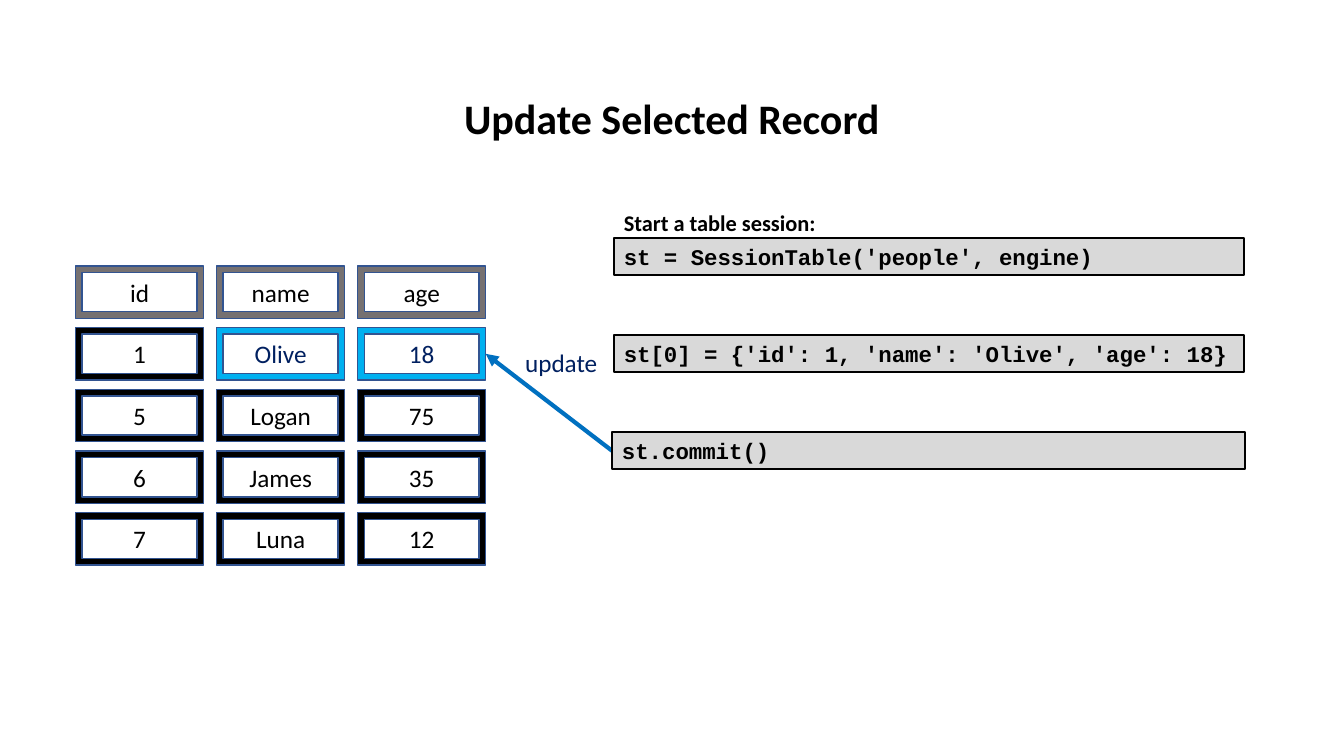
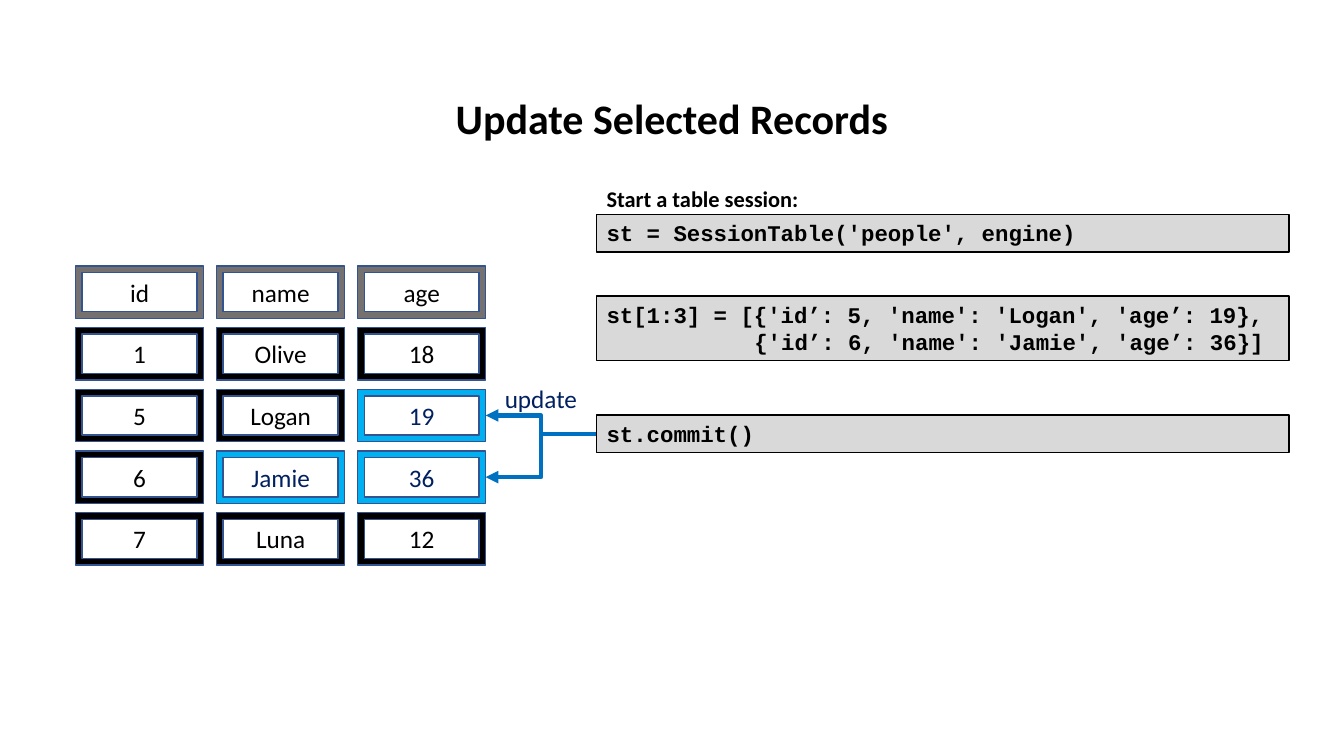
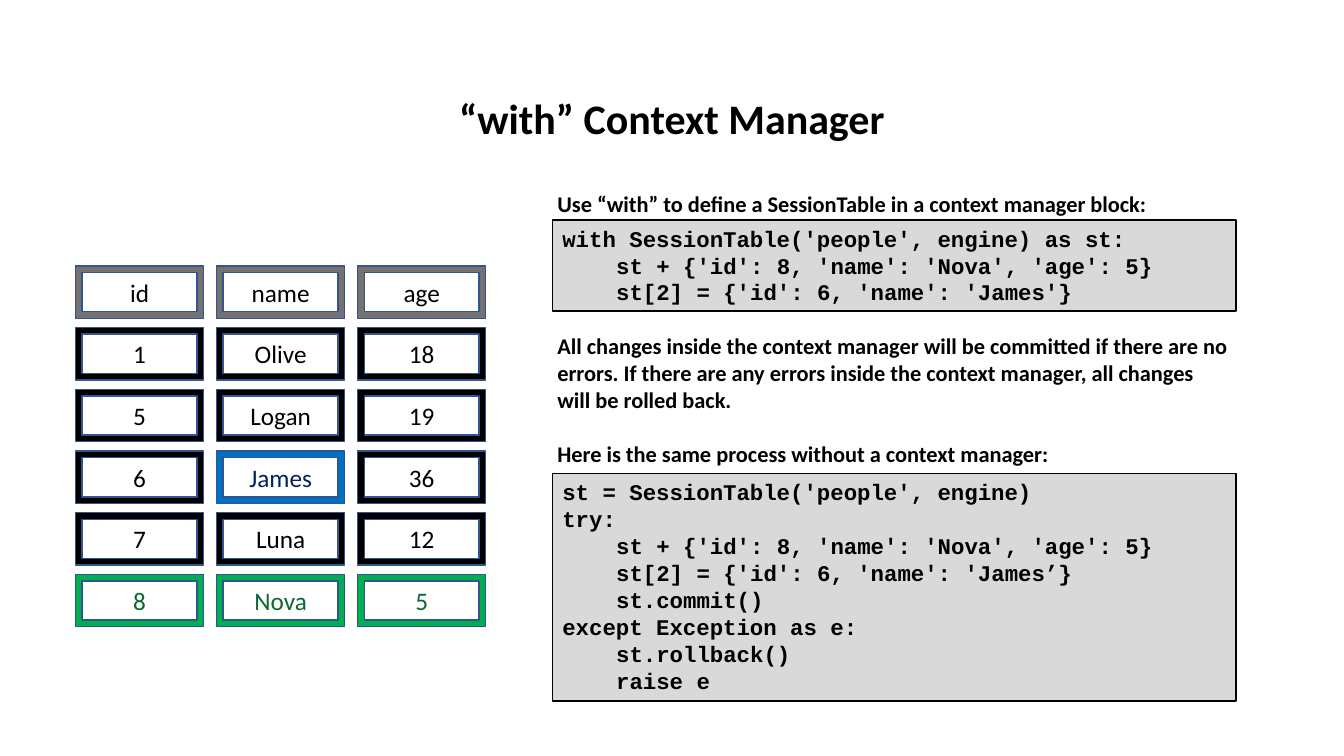
from lxml import etree
from pptx import Presentation
from pptx.dml.color import RGBColor
from pptx.enum.shapes import MSO_CONNECTOR, MSO_SHAPE
from pptx.enum.text import MSO_ANCHOR, MSO_AUTO_SIZE, PP_ALIGN
from pptx.oxml.ns import qn
from pptx.util import Pt

FRAME, RECTANGLE = MSO_SHAPE.FRAME, MSO_SHAPE.RECTANGLE
STRAIGHT, ELBOW = MSO_CONNECTOR.STRAIGHT, MSO_CONNECTOR.ELBOW
LEFT, CENTER = PP_ALIGN.LEFT, PP_ALIGN.CENTER
TOP, MIDDLE = MSO_ANCHOR.TOP, MSO_ANCHOR.MIDDLE
NO_FIT, GROW = MSO_AUTO_SIZE.NONE, MSO_AUTO_SIZE.SHAPE_TO_FIT_TEXT
TITLE_ONLY = 5

# Shared style: colours, fonts and the measures of the record grid
BLACK, NAVY, BLUE = "000000", "002060", "0070C0"
CODE_FILL, FRAME_LINE = "D9D9D9", "325491"
SANS, MONO = "Calibri", "Courier New"
CODE_CHAR = 9.6      # width of one character of code
CODE_LINE = 19.4     # height of one line of code
CODE_MARGIN = 7.2    # top and bottom margins together

# Cell looks: (frame colour, text colour)
HEADER = ("767171", BLACK)
PLAIN = (BLACK, BLACK)
UPDATED = ("00B0F0", NAVY)
RESTORED = (BLUE, NAVY)
ADDED = ("00B050", "0C662F")

GRID_LEFT, GRID_TOP = 54, 190
CELL_WIDTH, CELL_HEIGHT = 91.4, 37.4
COLUMN_STEP, ROW_STEP = 100.8, 44.05
GRID_RIGHT = GRID_LEFT + 2 * COLUMN_STEP + CELL_WIDTH

START_SESSION = "st = SessionTable('people', engine)"


def color(hex_text):
    return RGBColor.from_string(hex_text)


def row_center(row):
    return GRID_TOP + row * ROW_STEP + CELL_HEIGHT / 2


def code_height(line_count):
    return CODE_MARGIN + line_count * CODE_LINE


def write(shape, text, size=16, font=SANS, ink=BLACK, bold=False,
          align=LEFT, anchor=TOP, fit=GROW, gap=0):
    """Write text into a shape; leading spaces become a paragraph indent."""
    frame = shape.text_frame
    frame.word_wrap = True
    frame.auto_size = fit
    frame.vertical_anchor = anchor
    for number, line in enumerate(text.split("\n")):
        para = frame.add_paragraph() if number else frame.paragraphs[0]
        para.alignment = align
        if number and gap:
            para.space_before = Pt(gap)
        words = line.lstrip()
        indent = len(line) - len(words)
        if indent:
            para._p.get_or_add_pPr().set("marL", str(Pt(indent * CODE_CHAR)))
        span = para.add_run()
        span.text = words
        span.font.size = Pt(size)
        span.font.name = font
        span.font.bold = bold
        span.font.color.rgb = color(ink)


class Slides:
    def __init__(self):
        self.deck = Presentation()
        self.deck.slide_width, self.deck.slide_height = Pt(960), Pt(540)
        self.page = None

    def new_page(self, title):
        self.page = self.deck.slides.add_slide(self.deck.slide_layouts[TITLE_ONLY])
        box = self.page.shapes.title
        box.left, box.top, box.width, box.height = Pt(236), Pt(62.6), Pt(488), Pt(44)
        write(box, title, size=30, bold=True, align=CENTER)

    def shape(self, kind, left, top, width, height, fill, line, weight):
        box = self.page.shapes.add_shape(kind, Pt(left), Pt(top), Pt(width), Pt(height))
        box.shadow.inherit = False
        box.fill.solid()
        box.fill.fore_color.rgb = color(fill)
        box.line.color.rgb = color(line)
        box.line.width = Pt(weight)
        return box

    def records(self, rows, looks):
        """Draw the header and the rows; looks maps (row, column) to a cell look."""
        for row, values in enumerate([("id", "name", "age"), *rows]):
            for column, value in enumerate(values):
                look = looks.get((row, column), PLAIN if row else HEADER)
                fill, ink = look
                cell = self.shape(FRAME, GRID_LEFT + column * COLUMN_STEP,
                                  GRID_TOP + row * ROW_STEP,
                                  CELL_WIDTH, CELL_HEIGHT, fill, FRAME_LINE, 1)
                write(cell, str(value), size=18, ink=ink, align=CENTER,
                      anchor=MIDDLE, fit=NO_FIT)

    def code(self, left, top, width, text):
        height = code_height(text.count("\n") + 1)
        box = self.shape(RECTANGLE, left, top, width, height, CODE_FILL, BLACK, 1.25)
        write(box, text, font=MONO, bold=True)

    def label(self, left, top, width, text, height=26.6, **style):
        box = self.page.shapes.add_textbox(Pt(left), Pt(top), Pt(width), Pt(height))
        write(box, text, **style)

    def arrow(self, kind, left, top, row):
        """Draw an arrow from a code box to the right edge of a record row."""
        line = self.page.shapes.add_connector(
            kind, Pt(left), Pt(top), Pt(GRID_RIGHT), Pt(row_center(row)))
        line.line.color.rgb = color(BLUE)
        line.line.width = Pt(3)
        etree.SubElement(line.line._get_or_add_ln(), qn("a:tailEnd"), type="triangle")
        etree.SubElement(line._element.spPr, qn("a:effectLst"))


slides = Slides()

# Slide 1: one record
slides.new_page("Update Selected Record")
slides.records([(1, "Olive", 18), (5, "Logan", 75), (6, "James", 35), (7, "Luna", 12)],
               {(1, 1): UPDATED, (1, 2): UPDATED})
slides.arrow(STRAIGHT, 437.2, 322, 1)
slides.label(368, 244.8, 67, "update", height=29, size=18, ink=NAVY)
slides.label(438.5, 146.2, 352, "Start a table session:", bold=True)
slides.code(438.5, 170, 450, START_SESSION)
slides.code(438.5, 239.2, 450, "st[0] = {'id': 1, 'name': 'Olive', 'age': 18}")
slides.code(437.2, 308.7, 452.4, "st.commit()")

# Slide 2: several records
slides.new_page("Update Selected Records")
slides.records([(1, "Olive", 18), (5, "Logan", 19), (6, "Jamie", 36), (7, "Luna", 12)],
               {(2, 2): UPDATED, (3, 1): UPDATED, (3, 2): UPDATED})
slides.label(353.5, 270, 67, "update", height=29, size=18, ink=NAVY)
commit_top = 296.7
for updated_row in (2, 3):
    slides.arrow(ELBOW, 426.2, commit_top + code_height(1) / 2, updated_row)
slides.label(426.2, 128.9, 387, "Start a table session:", bold=True)
slides.code(426.2, 153.2, 494.6, START_SESSION)
slides.code(426.2, 211.5, 494.6,
            "st[1:3] = [{'id’: 5, 'name': 'Logan', 'age’: 19},\n"
            "           {'id’: 6, 'name': 'Jamie', 'age’: 36}]")
slides.code(426.2, commit_top, 494.6, "st.commit()")

# Slide 3: context manager
slides.new_page("“with” Context Manager")
slides.records([(1, "Olive", 18), (5, "Logan", 19), (6, "James", 36), (7, "Luna", 12),
                (8, "Nova", 5)],
               {(3, 1): RESTORED, (5, 0): ADDED, (5, 1): ADDED, (5, 2): ADDED})
slides.label(391, 132.5, 492,
             "Use “with” to define a SessionTable in a context manager block:", bold=True)
slides.code(394.6, 157, 488.2,
            "with SessionTable('people', engine) as st:\n"
            "    st + {'id': 8, 'name': 'Nova', 'age': 5}\n"
            "    st[2] = {'id': 6, 'name': 'James'}")
slides.label(391, 234, 494.6,
             "All changes inside the context manager will be committed if there are no "
             "errors. If there are any errors inside the context manager, all changes "
             "will be rolled back.\n"
             "Here is the same process without a context manager:",
             height=104.4, bold=True, gap=19.5)
slides.code(394.6, 338.3, 488.2,
            START_SESSION + "\n"
            "try:\n"
            "    st + {'id': 8, 'name': 'Nova', 'age': 5}\n"
            "    st[2] = {'id': 6, 'name': 'James’}\n"
            "    st.commit()\n"
            "except Exception as e:\n"
            "    st.rollback()\n"
            "    raise e")

slides.deck.save("out.pptx")
